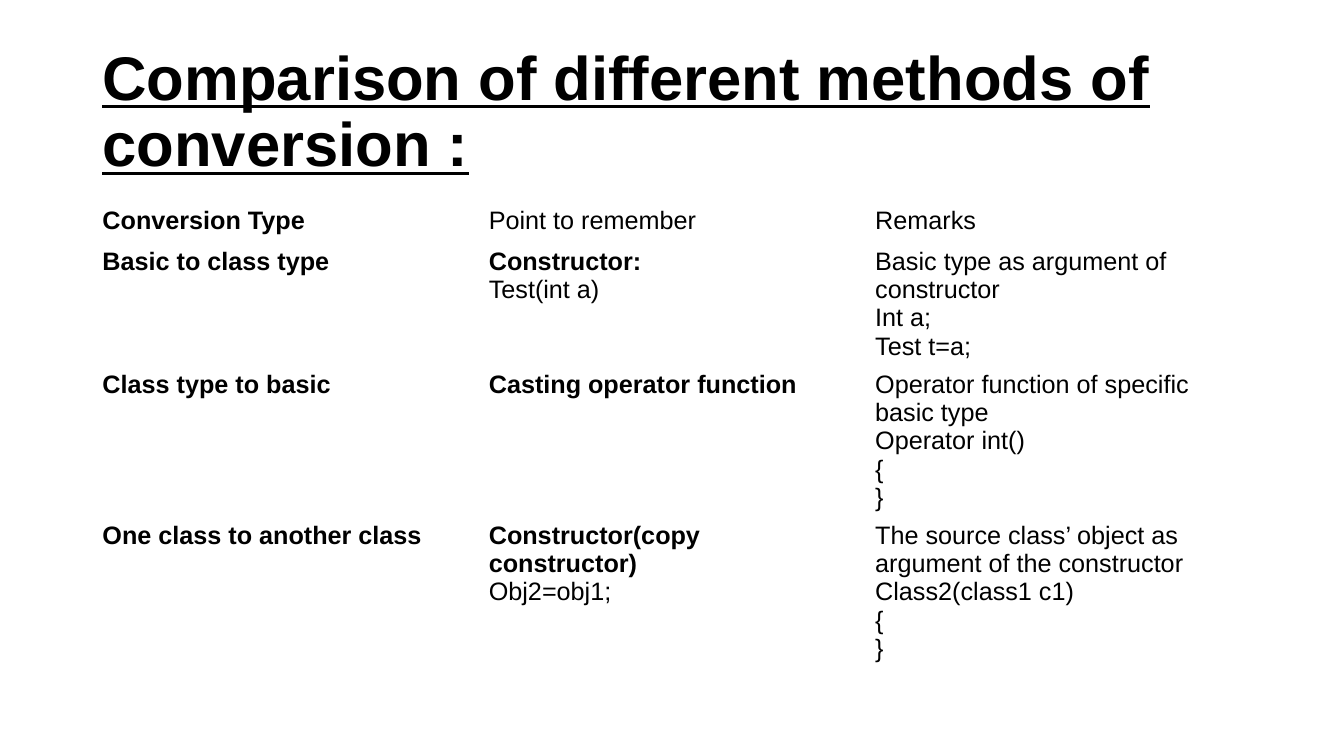
from pptx import Presentation
from pptx.dml.color import RGBColor
from pptx.enum.text import MSO_ANCHOR, MSO_AUTO_SIZE, PP_ALIGN
from pptx.util import Pt

BLACK = RGBColor(0x00, 0x00, 0x00)
FONT = "Arial"
LEFT, WIDTH = 66, 828
TABLE_TOP = 144
LINE_HEIGHT, CELL_PADDING = 20.15, 7.2
LINES_PER_ROW = [1, 4, 5, 5]

# Each cell is a pair: bold lines, then plain lines.
CONVERSIONS = [
    [
        (["Conversion Type"], []),
        ([], ["Point to remember"]),
        ([], ["Remarks"]),
    ],
    [
        (["Basic to class type"], []),
        (["Constructor:"], ["Test(int a)"]),
        ([], ["Basic type as argument of constructor", "Int a;", "Test t=a;"]),
    ],
    [
        (["Class type to basic"], []),
        (["Casting operator function"], []),
        ([], ["Operator function of specific basic type", "Operator int()", "{", "}"]),
    ],
    [
        (["One class to another class"], []),
        (["Constructor(copy constructor)"], ["Obj2=obj1;"]),
        ([], ["The source class’ object as argument of the constructor",
              "Class2(class1 c1)", "{", "}"]),
    ],
]


def write_text(para, text, size=18, bold=False, underline=False, spacing=1.0):
    para.alignment = PP_ALIGN.LEFT
    para.line_spacing = spacing
    span = para.add_run()
    span.text = text
    span.font.name = FONT
    span.font.size = Pt(size)
    span.font.bold = bold
    span.font.underline = underline
    span.font.color.rgb = BLACK


def place_title(page, text):
    title = page.shapes.title
    title.left, title.top = Pt(LEFT), Pt(28.75)
    title.width, title.height = Pt(WIDTH), Pt(104.4)
    frame = title.text_frame
    frame.word_wrap = True
    frame.auto_size = MSO_AUTO_SIZE.NONE
    frame.vertical_anchor = MSO_ANCHOR.MIDDLE
    write_text(frame.paragraphs[0], text, size=44, bold=True, underline=True, spacing=0.9)


def fill_cell(cell, bold_lines, plain_lines):
    cell.fill.background()
    cell.vertical_anchor = MSO_ANCHOR.TOP
    frame = cell.text_frame
    for index, line in enumerate(bold_lines + plain_lines):
        para = frame.add_paragraph() if index else frame.paragraphs[0]
        write_text(para, line, bold=index < len(bold_lines))


def add_conversion_table(page):
    heights = [CELL_PADDING + LINE_HEIGHT * lines for lines in LINES_PER_ROW]
    heights[0] = 29.2
    table = page.shapes.add_table(
        len(CONVERSIONS), len(CONVERSIONS[0]),
        Pt(LEFT), Pt(TABLE_TOP), Pt(WIDTH), Pt(sum(heights)),
    ).table
    table.first_row = False
    table.horz_banding = False
    for row, height in zip(table.rows, heights):
        row.height = Pt(height)
    for row, contents in zip(table.rows, CONVERSIONS):
        for cell, (bold_lines, plain_lines) in zip(row.cells, contents):
            fill_cell(cell, bold_lines, plain_lines)


def main():
    deck = Presentation()
    deck.slide_width, deck.slide_height = Pt(960), Pt(540)
    page = deck.slides.add_slide(deck.slide_layouts[5])
    place_title(page, "Comparison of different methods of conversion :")
    add_conversion_table(page)
    deck.save("out.pptx")


if __name__ == "__main__":
    main()
